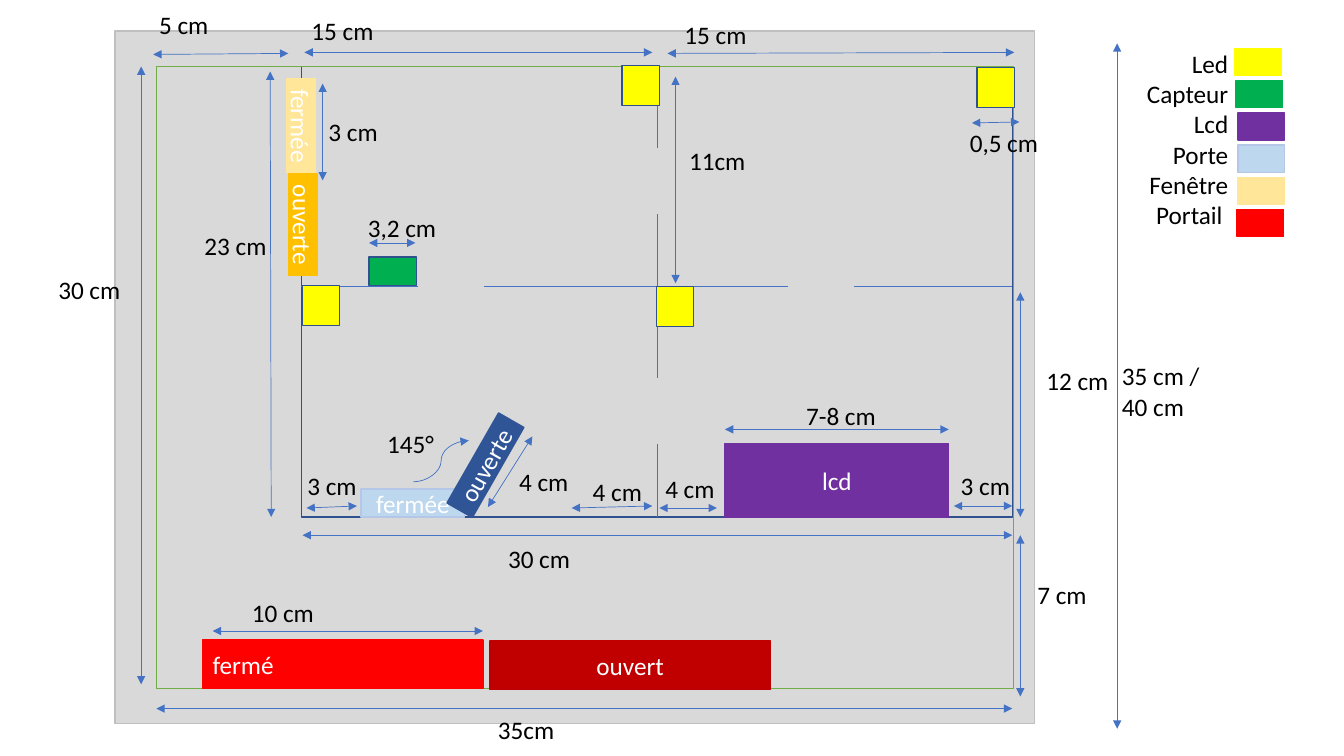
import pptx
import pptx.util
import pptx.dml.color
import pptx.enum.shapes
import pptx.enum.text
import pptx.oxml
import pptx.oxml.ns

Inches = pptx.util.Inches
Align = pptx.enum.text.PP_ALIGN
Link = pptx.enum.shapes.MSO_CONNECTOR

BLUE, NAVY, GREY = "4472C4", "2F528F", "D9D9D9"
YELLOW, GREEN, PURPLE, RED = "FFFF00", "00B050", "7030A0", "FF0000"
SKY, PALE, SAND = "BDD7EE", "B4C7E7", "FFE699"


def hue(code):
    return pptx.dml.color.RGBColor.from_string(code)


def write(frame, text, size=18, color="000000", align=Align.LEFT, font="Calibri"):
    frame.word_wrap = True
    for i, line in enumerate(text.split("\n")):
        para = frame.paragraphs[0] if i == 0 else frame.add_paragraph()
        para.alignment = align
        run = para.add_run()
        run.text = line
        run.font.size = pptx.util.Pt(size)
        run.font.name = font
        run.font.color.rgb = hue(color)


class Plan:
    """Draws the parts of a house plan on one slide."""

    def __init__(self, slide, stroke=BLUE, thin=0.5, thick=1):
        self.shapes = slide.shapes
        self.stroke, self.thin, self.thick = stroke, thin, thick

    def box(self, x, y, w, h, fill=None, edge=None, text="", align=Align.CENTER, turn=0):
        kind = pptx.enum.shapes.MSO_SHAPE.RECTANGLE
        shape = self.shapes.add_shape(kind, Inches(x), Inches(y), Inches(w), Inches(h))
        shape.shadow.inherit = False
        shape.rotation = turn
        if fill:
            shape.fill.solid()
            shape.fill.fore_color.rgb = hue(fill)
        else:
            shape.fill.background()
        shape.line.color.rgb = hue(edge or fill)
        shape.line.width = pptx.util.Pt(self.thick)
        if text:
            shape.text_frame.vertical_anchor = pptx.enum.text.MSO_ANCHOR.MIDDLE
            write(shape.text_frame, text, color="FFFFFF", align=align)
        return shape

    def line(self, x1, y1, x2, y2, ends=(), kind=Link.STRAIGHT):
        link = self.shapes.add_connector(kind, Inches(x1), Inches(y1), Inches(x2), Inches(y2))
        link.line.color.rgb = hue(self.stroke)
        link.line.width = pptx.util.Pt(self.thin)
        stroke = link.line._get_or_add_ln()
        for end in ends:
            mark = pptx.oxml.ns.qn(f"a:{end}End")
            stroke.append(stroke.makeelement(mark, {"type": "triangle"}))
        props = link._element.spPr
        props.append(props.makeelement(pptx.oxml.ns.qn("a:effectLst"), {}))
        return link

    def span(self, *ends):
        return self.line(*ends, ends=("head", "tail"))

    def label(self, text, x, y, w, h=0.4, align=Align.LEFT):
        shape = self.shapes.add_textbox(Inches(x), Inches(y), Inches(w), Inches(h))
        shape.text_frame.auto_size = pptx.enum.text.MSO_AUTO_SIZE.SHAPE_TO_FIT_TEXT
        write(shape.text_frame, text, align=align)


SPANS = [
    (9.41, 4.26, 7.19, 4.26), (4.12, 2.41, 3.66, 2.41), (10.11, 1.21, 9.64, 1.22),
    (5.28, 4.33, 4.84, 5.03), (4.79, 6.26, 2.11, 6.26), (3.2, 1.79, 3.2, 0.83),
    (10.04, 5.31, 3, 5.31), (2.69, 5.13, 2.68, 0.71), (10.04, 7.03, 1.55, 7.03),
    (1.4, 6.79, 1.4, 0.66), (10.06, 0.52, 6.62, 0.53), (6.47, 0.52, 3.02, 0.52),
    (6.7, 2.81, 6.7, 0.76), (10.12, 5.13, 10.12, 2.9), (10.12, 6.91, 10.12, 5.31),
    (2.86, 0.53, 1.52, 0.54), (3.54, 5.02, 3.04, 5.04), (6.47, 5.02, 5.67, 5.04),
    (7.11, 5.04, 6.54, 5.04), (10.04, 5.02, 9.46, 5.02), (11.08, 0.43, 11.08, 7.23),
]
LABELS = [
    (" 7-8 cm", 7.84, 3.92, 1.23), ("0,5 cm", 9.52, 1.21, 0.97),
    ("3,2 cm", 3.55, 2.06, 0.99), ("4 cm", 5.05, 4.58, 1.09),
    ("15 cm", 2.99, 0.1, 3.38), ("15 cm", 6.69, 0.14, 3.38),
    ("30 cm", 4.94, 5.34, 2.32), ("3 cm", 3.16, 1.1, 0.77),
    ("30 cm", 0.48, 2.67, 0.83), ("23 cm", 1.93, 2.24, 1.6),
    (" 11cm", 6.68, 1.39, 1.6), ("12 cm", 10.28, 3.58, 1.6),
    ("7 cm", 10.19, 5.7, 1.6), ("5 cm", 1.48, 0.04, 1.05),
    ("35cm", 4.84, 7.04, 3.38), ("10 cm", 2.4, 5.88, 3.38),
    ("3 cm", 2.95, 4.62, 0.76), ("4 cm", 6.5, 4.65, 1.09),
    ("4 cm", 5.78, 4.68, 0.72), ("3 cm", 9.43, 4.62, 1.09),
    ("35 cm / 40 cm", 11.03, 3.53, 1.24, 0.71), ("145°", 3.74, 4.2, 0.68),
]
LEGEND = [
    ("Led", 12.25, YELLOW, YELLOW), ("Capteur", 12.26, GREEN, GREEN),
    ("Lcd", 12.28, PURPLE, PURPLE), ("Porte", 12.28, SKY, PALE),
    ("Fenêtre", 12.28, SAND, SAND), ("Portail ", 12.27, RED, RED),
]


def main():
    deck = pptx.Presentation()
    deck.slide_width, deck.slide_height = Inches(13.33), Inches(7.5)
    plan = Plan(deck.slides.add_slide(deck.slide_layouts[6]))

    plan.box(1.14, 0.31, 9.12, 6.87, GREY, "BFBFBF")
    house = plan.box(2.99, 0.66, 7.05, 4.47, edge=NAVY)
    wall = plan.line(6.51, 0.66, 6.52, 5.13)
    wall.begin_connect(house, 0)
    wall.end_connect(house, 2)
    plan.line(2.99, 2.84, 10.04, 2.84)
    for x, y, turn in [(6.35, 1.48, 0), (6.37, 3.76, 0), (4.33, 2.48, 270), (8, 2.58, 270)]:
        plan.box(x, y, 0.28, 0.64, GREY, turn=turn)

    plan.box(3.58, 4.85, 1.03, 0.28, SKY, PALE, "fermée")
    plan.box(4.3, 4.47, 1.03, 0.29, "2F5597", text="ouverte", turn=299.8)
    plan.box(1.55, 0.66, 8.5, 6.17, edge="70AD47")
    plan.box(2.01, 6.35, 2.78, 0.48, RED, text="fermé", align=Align.LEFT)
    plan.box(4.86, 6.36, 2.78, 0.48, "C00000", text="ouvert")
    plan.box(2.5, 2.09, 1.01, 0.28, "FFC000", text="ouverte", turn=90)
    plan.box(2.52, 1.11, 0.93, 0.28, SAND, text="fermée", turn=90)
    plan.box(7.19, 4.4, 2.22, 0.73, PURPLE, text="lcd")
    for x, y in [(3, 2.83), (9.69, 0.67), (6.17, 0.65), (6.51, 2.84)]:
        plan.box(x, y, 0.37, 0.4, YELLOW, NAVY)
    plan.box(3.66, 2.55, 0.47, 0.28, GREEN, NAVY)

    for ends in SPANS:
        plan.span(*ends)
    plan.line(4.1, 4.78, 4.65, 4.37, ends=["tail"], kind=Link.CURVE)
    for spot in LABELS:
        plan.label(*spot)

    for i, (name, x, fill, edge) in enumerate(LEGEND):
        plan.box(x, 0.48 + 0.32 * i, 0.46, 0.27, fill, edge)
    names = "\n".join(row[0] for row in LEGEND)
    plan.label(names, 11.09, 0.43, 1.19, 1.92, Align.RIGHT)

    deck.save("out.pptx")


if __name__ == "__main__":
    main()
